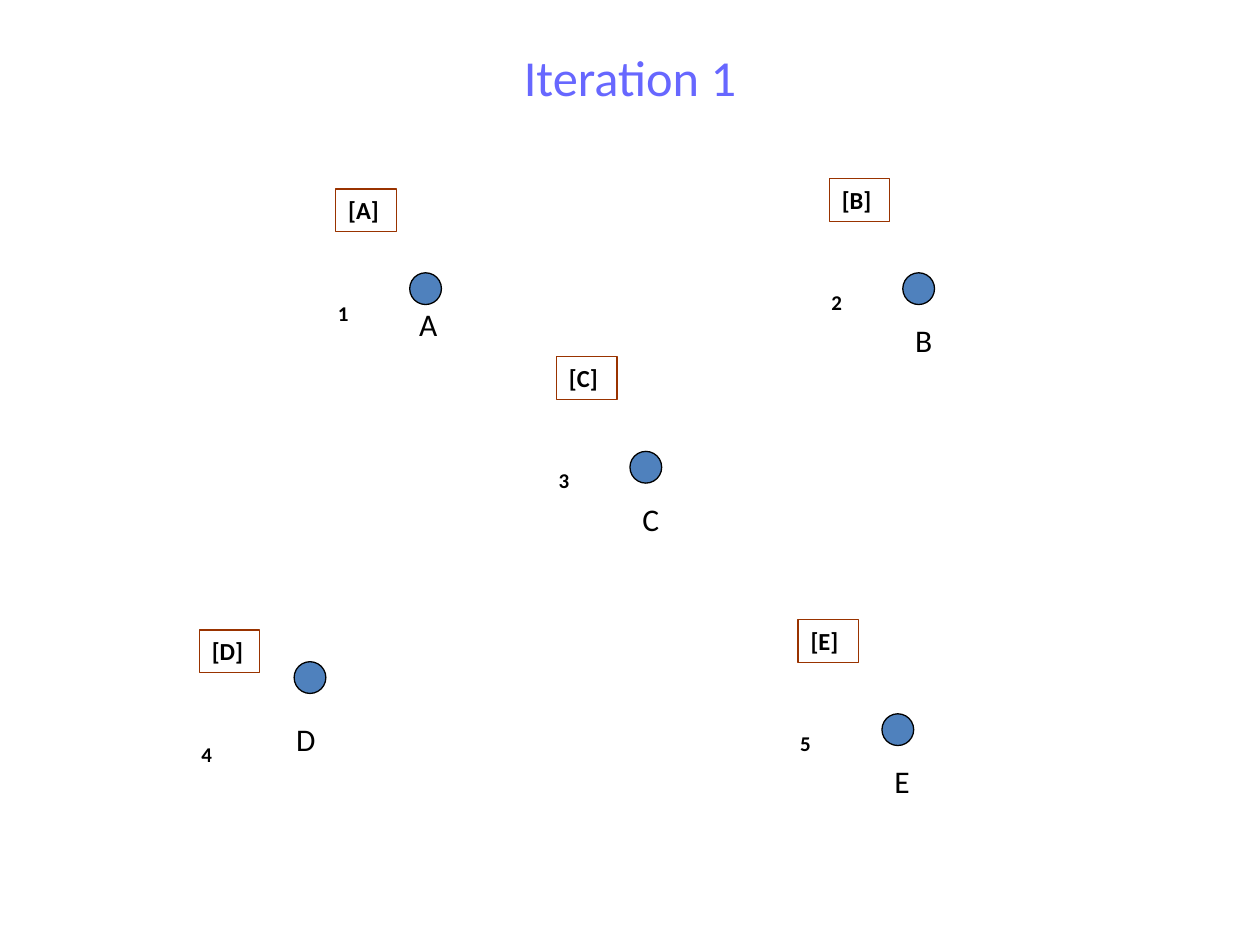
from dataclasses import dataclass

from pptx import Presentation
from pptx.dml.color import RGBColor
from pptx.enum.shapes import MSO_SHAPE as Shape
from pptx.enum.text import MSO_ANCHOR as Anchor, MSO_AUTO_SIZE as AutoSize, PP_ALIGN as Align
from pptx.shapes.autoshape import Shape as AutoShape
from pptx.shapes.shapetree import GroupShapes, SlideShapes
from pptx.text.text import TextFrame
from pptx.util import Cm, Pt


@dataclass(frozen=True)
class Theme:
    font: str = "Calibri"
    title: RGBColor = RGBColor(0x67, 0x67, 0xFF)
    ink: RGBColor = RGBColor(0, 0, 0)
    dot: RGBColor = RGBColor(0x4F, 0x81, 0xBD)
    tag: RGBColor = RGBColor(0x99, 0x33, 0x00)
    title_size: float = 28.8
    name_size: float = 18
    tag_size: float = 14
    number_size: float = 12
    line: float = 0.75


@dataclass(frozen=True)
class Node:
    name: str
    number: int
    dot: tuple[float, float]
    label: tuple[float, float]
    badge: tuple[float, float]


THEME = Theme()
DOT_SIZE = 0.64
NAME_BOX = (0.94, 1.02)
NUMBER_BOX = (0.74, 0.76)
TAG_BOX = (1.22, 0.86)
TAG_SHIFT = (0.21, -2.12)

NODES = [
    Node("A", 1, (8.26, 5.5), (8.2, 6.02), (6.56, 5.93)),
    Node("B", 2, (18.2, 5.5), (18.2, 6.35), (16.51, 5.72)),
    Node("C", 3, (12.7, 9.1), (12.7, 9.95), (11.01, 9.31)),
    Node("D", 4, (5.93, 13.34), (5.72, 14.39), (3.81, 14.82)),
    Node("E", 5, (17.78, 14.39), (17.78, 15.24), (15.88, 14.61)),
]


def write(tf: TextFrame, text: str, size: float, color: RGBColor = THEME.ink,
          bold: bool = False, align: Align = Align.LEFT) -> None:
    p = tf.paragraphs[0]
    p.alignment = align
    r = p.add_run()
    r.text = text
    r.font.name = THEME.font
    r.font.size = Pt(size)
    r.font.bold = bold
    r.font.color.rgb = color


def add_label(shapes: SlideShapes | GroupShapes, text: str, at: tuple[float, float],
              box: tuple[float, float], size: float, bold: bool = False) -> None:
    tf = shapes.add_textbox(*map(Cm, at + box)).text_frame
    tf.word_wrap = False
    tf.auto_size = AutoSize.SHAPE_TO_FIT_TEXT
    write(tf, text, size, bold=bold)


def add_outlined(shapes: SlideShapes | GroupShapes, kind: Shape, at: tuple[float, float],
                 box: tuple[float, float], color: RGBColor) -> AutoShape:
    sp = shapes.add_shape(kind, *map(Cm, at + box))
    sp.shadow.inherit = False
    sp.line.color.rgb = color
    sp.line.width = Pt(THEME.line)
    return sp


def add_dot(shapes: SlideShapes, at: tuple[float, float]) -> None:
    sp = add_outlined(shapes, Shape.OVAL, at, (DOT_SIZE, DOT_SIZE), THEME.ink)
    sp.fill.solid()
    sp.fill.fore_color.rgb = THEME.dot


def add_tag(shapes: GroupShapes, text: str, at: tuple[float, float]) -> None:
    sp = add_outlined(shapes, Shape.RECTANGLE, at, TAG_BOX, THEME.tag)
    sp.fill.background()
    tf = sp.text_frame
    tf.word_wrap = True
    tf.auto_size = AutoSize.SHAPE_TO_FIT_TEXT
    tf.vertical_anchor = Anchor.TOP
    write(tf, text, THEME.tag_size, bold=True)


def add_node(shapes: SlideShapes, node: Node) -> None:
    add_dot(shapes, node.dot)
    add_label(shapes, node.name, node.label, NAME_BOX, THEME.name_size)
    badge = shapes.add_group_shape().shapes
    add_label(badge, str(node.number), node.badge, NUMBER_BOX, THEME.number_size, bold=True)
    x, y = node.badge
    dx, dy = TAG_SHIFT
    add_tag(badge, f"[{node.name}]", (x + dx, y + dy))


def add_title(shapes: SlideShapes, text: str) -> None:
    sp = shapes.title
    sp.left, sp.top, sp.width, sp.height = map(Cm, (1.27, 0.76, 22.86, 1.57))
    tf = sp.text_frame
    tf.vertical_anchor = Anchor.MIDDLE
    write(tf, text, THEME.title_size, THEME.title, align=Align.CENTER)


def main() -> None:
    prs = Presentation()
    prs.slide_width, prs.slide_height = Cm(25.4), Cm(19.05)
    s = prs.slides.add_slide(prs.slide_layouts[5])
    add_title(s.shapes, "Iteration 1")
    for node in NODES:
        add_node(s.shapes, node)
    prs.save("out.pptx")


if __name__ == "__main__":
    main()
